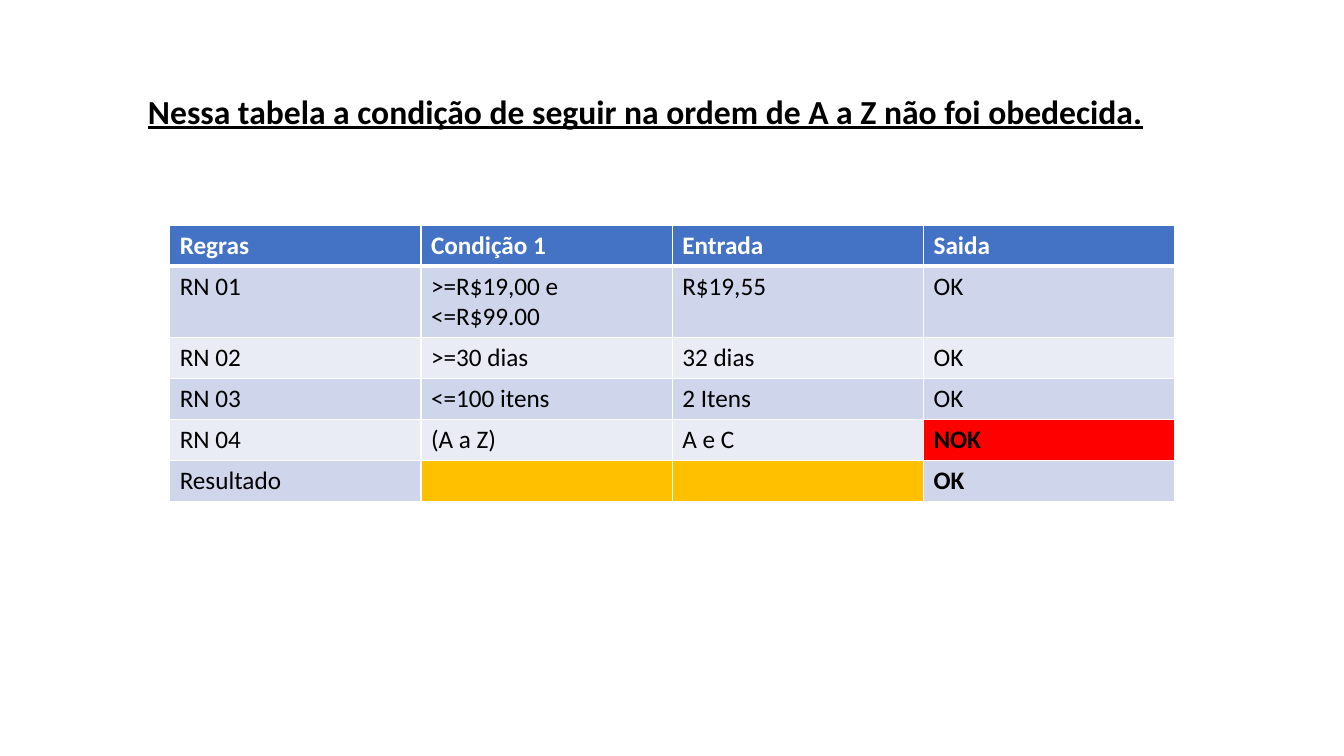
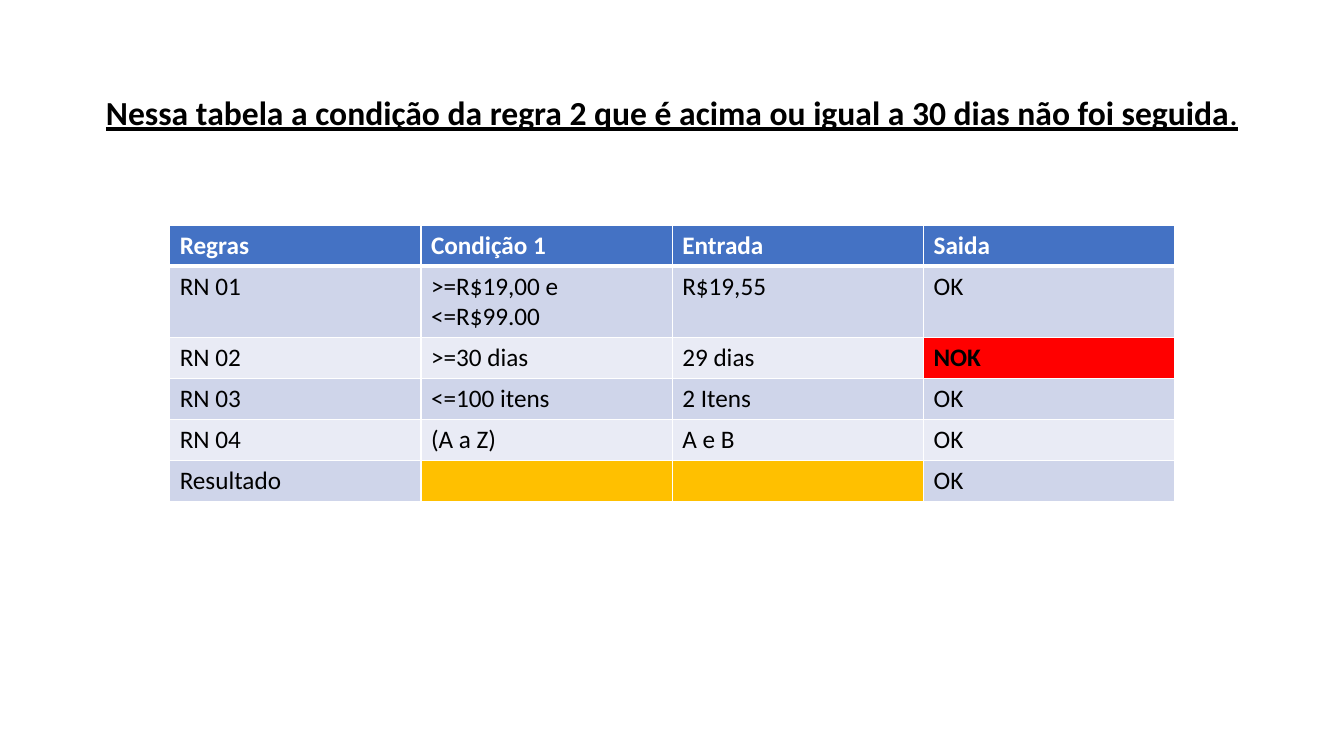
from lxml import etree
from pptx import Presentation
from pptx.dml.color import RGBColor
from pptx.enum.text import MSO_ANCHOR, MSO_AUTO_SIZE, PP_ALIGN
from pptx.oxml.ns import qn
from pptx.util import Pt

LEFT, CENTER = PP_ALIGN.LEFT, PP_ALIGN.CENTER
MIDDLE = MSO_ANCHOR.MIDDLE
NO_AUTOFIT = MSO_AUTO_SIZE.NONE

BLACK = RGBColor(0x00, 0x00, 0x00)
WHITE = RGBColor(0xFF, 0xFF, 0xFF)
BLUE = RGBColor(0x44, 0x72, 0xC4)
BAND_DARK = RGBColor(0xCF, 0xD5, 0xEA)
BAND_LIGHT = RGBColor(0xE9, 0xEB, 0xF5)
RED = RGBColor(0xFF, 0x00, 0x00)
GOLD = RGBColor(0xFF, 0xC0, 0x00)

FONT = "Calibri"
TITLE_ONLY = 5

HEADER = ("Regras", "Condição 1", "Entrada", "Saida")
RULES = (
    ("RN 01", ">=R$19,00 e <=R$99.00"),
    ("RN 02", ">=30 dias"),
    ("RN 03", "<=100 itens"),
    ("RN 04", "(A a Z)"),
)


class Deck:
    """Shared style and the current slide."""

    def __init__(self):
        self.prs = Presentation()
        self.prs.slide_width, self.prs.slide_height = Pt(960), Pt(540)
        self.s = None

    def add_slide(self):
        layout = self.prs.slide_layouts[TITLE_ONLY]
        self.s = self.prs.slides.add_slide(layout)

    def style(self, p, size, color, bold):
        p.font.name, p.font.size = FONT, Pt(size)
        p.font.color.rgb, p.font.bold = color, bold

    def title(self, text, height, align=CENTER, indent=0, plain_end=""):
        sp = self.s.shapes.title
        sp.left, sp.top = Pt(66), Pt(28.75)
        sp.width, sp.height = Pt(828), Pt(height)
        tf = sp.text_frame
        tf.word_wrap, tf.auto_size = True, NO_AUTOFIT
        tf.vertical_anchor = MIDDLE
        tf.margin_left = Pt(7.2 + indent)
        p = tf.paragraphs[0]
        p.alignment, p.line_spacing = align, 0.9
        self.style(p, 24, BLACK, True)
        p.font.underline = True
        p.add_run().text = text
        if plain_end:
            r = p.add_run()
            r.text, r.font.bold = plain_end, False

    def borders(self, cell, top, bottom):
        tcPr = cell._tc.get_or_add_tcPr()
        for side, width in (("L", 1), ("R", 1), ("T", top), ("B", bottom)):
            ln = etree.SubElement(tcPr, qn(f"a:ln{side}"), w=str(Pt(width)))
            fill = etree.SubElement(ln, qn("a:solidFill"))
            etree.SubElement(fill, qn("a:srgbClr"), val=str(WHITE))

    def cell(self, cell, text, fill, color=BLACK, bold=False, top=1, bottom=1):
        self.borders(cell, top, bottom)
        cell.fill.solid()
        cell.fill.fore_color.rgb = fill
        p = cell.text_frame.paragraphs[0]
        self.style(p, 18, color, bold)
        if text:
            p.add_run().text = text

    def rules_table(self, inputs, outputs, bold_result=False):
        rows = [rule + pair for rule, pair in zip(RULES, zip(inputs, outputs))]
        rows.append(("Resultado", "", "", "OK"))
        table = self.s.shapes.add_table(
            len(rows) + 1, len(HEADER), Pt(121.2), Pt(160.8), Pt(718), Pt(196.4)
        ).table
        for column in table.columns:
            column.width = Pt(179.5)
        for i, row in enumerate(table.rows):
            row.height = Pt(50.4 if i == 1 else 29.2)

        # Header with a thick rule below
        for j, text in enumerate(HEADER):
            self.cell(table.cell(0, j), text, BLUE, WHITE, True, bottom=3)

        # Banded body: failures red, unused result cells gold
        for i, row in enumerate(rows, 1):
            band = BAND_DARK if i % 2 else BAND_LIGHT
            for j, text in enumerate(row):
                fill = {"NOK": RED, "": GOLD}.get(text, band)
                result = i == len(rows) and j == len(row) - 1
                bold = text == "NOK" or (result and bold_result)
                self.cell(table.cell(i, j), text, fill, bold=bold,
                          top=3 if i == 1 else 1)


def main():
    deck = Deck()

    # Letter order broken
    deck.add_slide()
    deck.title(
        "Nessa tabela a condição de seguir na ordem de A a Z não foi obedecida.",
        104.4, LEFT, indent=32.5)
    deck.rules_table(("R$19,55", "32 dias", "2 Itens", "A e C"),
                     ("OK", "OK", "OK", "NOK"), bold_result=True)

    # Minimum number of days not met
    deck.add_slide()
    deck.title(
        "Nessa tabela a condição da regra 2 que é acima ou igual a 30 dias "
        "não foi seguida", 106.5, plain_end=".")
    deck.rules_table(("R$19,55", "29 dias", "2 Itens", "A e B"),
                     ("OK", "NOK", "OK", "OK"))

    deck.prs.save("out.pptx")


if __name__ == "__main__":
    main()
